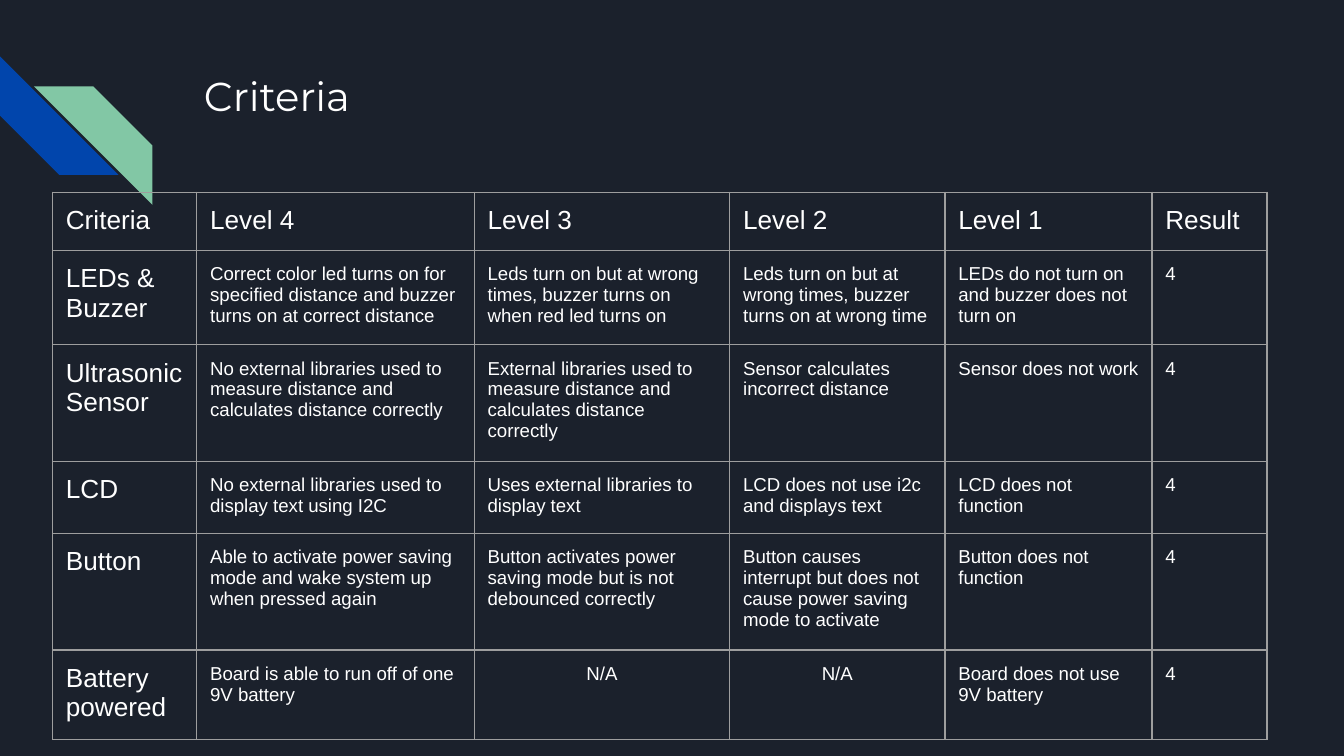
from pptx import Presentation, util as u
from pptx.dml.color import RGBColor
from pptx.enum import shapes, text
from pptx.oxml import parse_xml
from pptx.oxml.ns import nsdecls


def rgb(code):
    return RGBColor.from_string(code)


class Deck:
    bg, ink, grid = "1B212C", "FFFFFF", "9E9E9E"
    blue, green = "0145AC", "82C7A5"
    title_font, body_font = "Montserrat", "Arial"
    inset, line = 7.2, 0.75

    def __init__(self, prs):
        self.s = prs.slides.add_slide(prs.slide_layouts[6])
        fill = self.s.background.fill
        fill.solid()
        fill.fore_color.rgb = rgb(self.bg)

    def stripe(self, x, y, size, color, turn):
        sp = self.s.shapes.add_shape(shapes.MSO_SHAPE.DIAGONAL_STRIPE,
                                     u.Pt(x), u.Pt(y), u.Pt(size), u.Pt(size))
        sp.rotation = turn
        sp.shadow.inherit = False
        sp.fill.solid()
        sp.fill.fore_color.rgb = rgb(color)
        sp.line.fill.background()

    def add_words(self, p, words, size, font):
        r = p.add_run()
        r.text = words
        r.font.size = u.Pt(size)
        r.font.name = font
        r.font.color.rgb = rgb(self.ink)

    def pad(self, box):
        box.margin_left = box.margin_right = u.Pt(self.inset)
        box.margin_top = box.margin_bottom = u.Pt(self.inset)

    def title(self, words, x, y, w, h, size):
        tf = self.s.shapes.add_textbox(u.Pt(x), u.Pt(y), u.Pt(w), u.Pt(h)).text_frame
        tf.word_wrap = True
        tf.vertical_anchor = text.MSO_ANCHOR.TOP
        self.pad(tf)
        self.add_words(tf.paragraphs[0], words, size, self.title_font)

    def borders(self, cell):
        tc_pr = cell._tc.get_or_add_tcPr()
        for side in ("lnL", "lnR", "lnT", "lnB"):
            tc_pr.append(parse_xml(
                f'<a:{side} {nsdecls("a")} w="{u.Pt(self.line)}"><a:solidFill>'
                f'<a:srgbClr val="{self.grid}"/></a:solidFill></a:{side}>'))

    def table(self, rows, x, y, widths, heights):
        tbl = self.s.shapes.add_table(len(rows), len(widths), u.Pt(x), u.Pt(y),
                                      u.Pt(sum(widths)), u.Pt(sum(heights))).table
        tbl.first_row = tbl.horz_banding = False
        for col, w in zip(tbl.columns, widths):
            col.width = u.Pt(w)
        for row, h in zip(tbl.rows, heights):
            row.height = u.Pt(h)
        for i, row in enumerate(rows):
            for j, words in enumerate(row):
                cell = tbl.cell(i, j)
                self.pad(cell)
                self.borders(cell)
                cell.fill.background()
                p = cell.text_frame.paragraphs[0]
                if words == "N/A":
                    p.alignment = text.PP_ALIGN.CENTER
                # Headings in the first row and column are larger
                self.add_words(p, words, 10 if i and j else 14, self.body_font)


CRITERIA = [
    ["Criteria", "Level 4", "Level 3", "Level 2", "Level 1", "Result"],
    ["LEDs & Buzzer",
     "Correct color led turns on for specified distance and buzzer turns on at correct distance",
     "Leds turn on but at wrong times, buzzer turns on when red led turns on",
     "Leds turn on but at wrong times, buzzer turns on at wrong time",
     "LEDs do not turn on and buzzer does not turn on", "4"],
    ["Ultrasonic Sensor",
     "No external libraries used to measure distance and calculates distance correctly",
     "External libraries used to measure distance and calculates distance correctly",
     "Sensor calculates incorrect distance",
     "Sensor does not work", "4"],
    ["LCD",
     "No external libraries used to display text using I2C",
     "Uses external libraries to display text",
     "LCD does not use i2c and displays text",
     "LCD does not function", "4"],
    ["Button",
     "Able to activate power saving mode and wake system up when pressed again",
     "Button activates power saving mode but is not debounced correctly",
     "Button causes interrupt but does not cause power saving mode to activate",
     "Button does not function", "4"],
    ["Battery powered",
     "Board is able to run off of one 9V battery",
     "N/A", "N/A",
     "Board does not use 9V battery", "4"],
]


def main():
    prs = Presentation()
    prs.slide_width, prs.slide_height = u.Pt(720), u.Pt(405)
    deck = Deck(prs)

    # Corner stripes
    deck.stripe(0, 30.2, 63.5, deck.blue, 270)
    deck.stripe(18.2, 46.3, 63.5, deck.green, 90)

    # Title
    deck.title("Criteria", 102.2, 31, 554.4, 72, 21.6)

    # Grading table
    deck.table(CRITERIA, 28.1, 103,
               widths=[77.3, 148.7, 136.9, 115.3, 110.9, 61.7],
               heights=[30, 47.7, 59.2, 36.7, 58.9, 46.1])

    prs.save("out.pptx")


if __name__ == "__main__":
    main()
